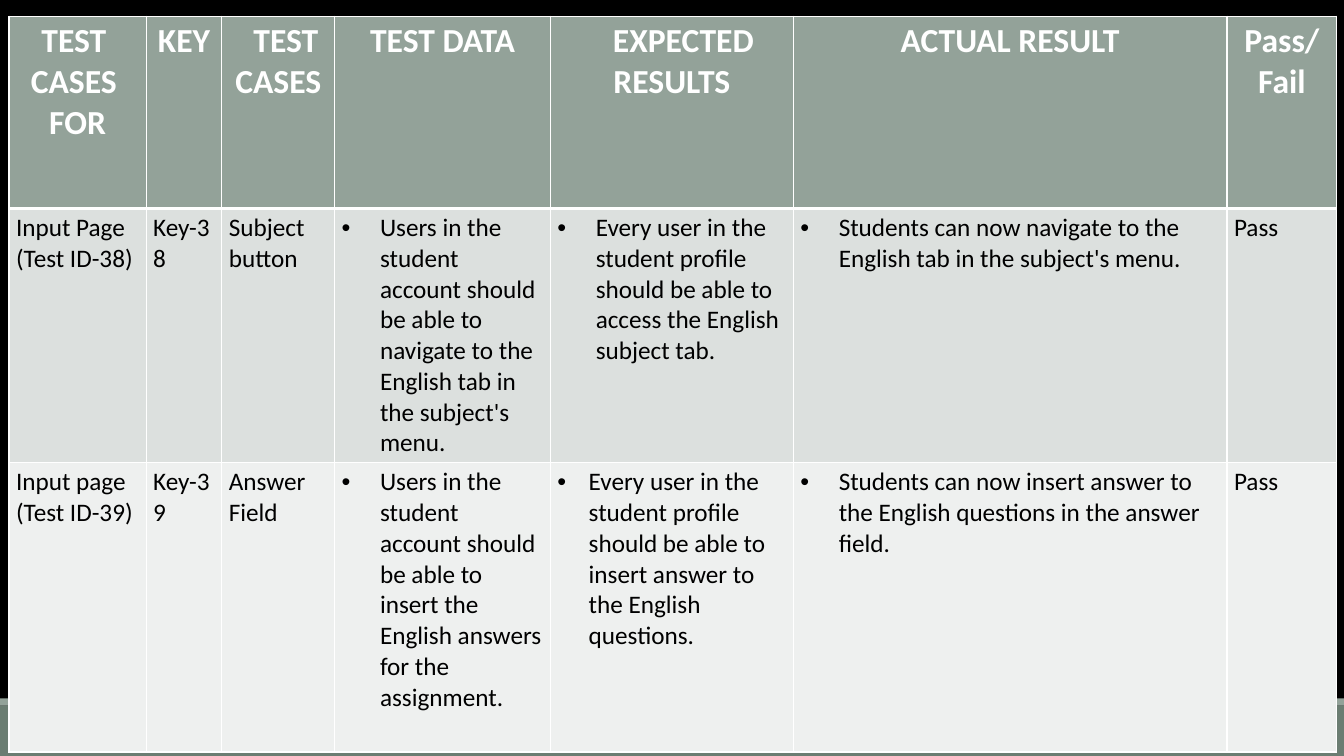
from dataclasses import dataclass

from lxml import etree
from pptx import Presentation
from pptx import util as u
from pptx.dml.color import RGBColor
from pptx.enum import shapes, text
from pptx.oxml.ns import qn


@dataclass(frozen=True)
class Theme:
    font: str = "Calibri"
    background: str = "000000"
    footer: str = "6B7D72"
    accent: str = "93A299"
    bands: tuple = ("DCE0DE", "EEF0EF")
    light: str = "FFFFFF"
    dark: str = "000000"
    heading: int = 24
    body: int = 18
    rule: int = 1
    heavy_rule: int = 3


@dataclass(frozen=True)
class Bullet:
    wording: str
    indent: float = 0.38


THEME = Theme()
WIDTH, HEIGHT = 13.33, 7.5
COLUMNS = (1.36, 0.75, 1.12, 2.14, 2.41, 4.3, 1.09)
ROWS = (1.91, 2.31, 2.87)
HEADINGS = ("TEST \nCASES \nFOR", "KEY", "  TEST CASES", "TEST DATA",
            "   EXPECTED RESULTS", "ACTUAL RESULT", "Pass/Fail")
TEST_CASES = (
    ("Input Page\n(Test ID-38)", "Key-38", "Subject button",
     Bullet("Users in the student account should be able to navigate to the "
            "English tab in the subject's menu."),
     Bullet("Every user in the student profile should be able to access the "
            "English subject tab."),
     Bullet("Students can now navigate to the English tab in the subject's menu."),
     "Pass"),
    ("Input page\n(Test ID-39)", "Key-39", "Answer Field",
     Bullet("Users in the student account should be able to insert the "
            "English answers for the assignment."),
     Bullet("Every user in the student profile should be able to insert "
            "answer to the English questions.", 0.31),
     Bullet("Students can now insert answer to the English questions in the "
            "answer field."),
     "Pass"),
)


def rgb(value):
    return RGBColor.from_string(value)


def add_bar(slide, box, colour):
    bar = slide.shapes.add_shape(shapes.MSO_SHAPE.RECTANGLE, *map(u.Inches, box))
    bar.shadow.inherit = False
    bar.fill.solid()
    bar.fill.fore_color.rgb = rgb(colour)
    bar.line.fill.background()


def add_footer(slide, box):
    left, top, width, height = box
    strip = 0.07
    add_bar(slide, (left, top + strip, width, height - strip), THEME.footer)
    add_bar(slide, (left, top, width, strip), THEME.accent)


def set_borders(cell, bottom):
    properties = cell._tc.get_or_add_tcPr()
    sides = (("lnL", THEME.rule), ("lnR", THEME.rule), ("lnT", THEME.rule), ("lnB", bottom))
    for position, (side, points) in enumerate(sides):
        border = etree.Element(qn(f"a:{side}"), w=str(u.Pt(points)))
        fill = etree.SubElement(border, qn("a:solidFill"))
        etree.SubElement(fill, qn("a:srgbClr"), val=THEME.light)
        properties.insert(position, border)


def set_bullet(paragraph, indent):
    properties = paragraph._p.get_or_add_pPr()
    properties.set("marL", str(u.Inches(indent)))
    properties.set("indent", str(-u.Inches(indent)))
    etree.SubElement(properties, qn("a:buFont"), typeface="Arial")
    etree.SubElement(properties, qn("a:buChar"), char="•")


def fill_cell(cell, entry, fill, heading):
    is_bullet = isinstance(entry, Bullet)
    cell.text_frame.text = entry.wording if is_bullet else entry
    cell.margin_left = cell.margin_right = u.Inches(0.07)
    cell.margin_top = cell.margin_bottom = u.Inches(0.04)
    cell.fill.solid()
    cell.fill.fore_color.rgb = rgb(fill)
    set_borders(cell, THEME.heavy_rule if heading else THEME.rule)
    for paragraph in cell.text_frame.paragraphs:
        paragraph.alignment = text.PP_ALIGN.CENTER if heading else text.PP_ALIGN.LEFT
        if is_bullet:
            set_bullet(paragraph, entry.indent)
        for run in paragraph.runs:
            run.font.name = THEME.font
            run.font.size = u.Pt(THEME.heading if heading else THEME.body)
            run.font.bold = heading
            run.font.color.rgb = rgb(THEME.light if heading else THEME.dark)


def add_test_cases(slide, box):
    entries = (HEADINGS, *TEST_CASES)
    grid = slide.shapes.add_table(len(ROWS), len(COLUMNS), *map(u.Inches, box)).table
    for column, width in zip(grid.columns, COLUMNS):
        column.width = u.Inches(width)
    for row, height in zip(grid.rows, ROWS):
        row.height = u.Inches(height)
    for r, (line, fill) in enumerate(zip(entries, (THEME.accent, *THEME.bands))):
        for c, entry in enumerate(line):
            fill_cell(grid.cell(r, c), entry, fill, r == 0)


def main():
    deck = Presentation()
    deck.slide_width, deck.slide_height = u.Inches(WIDTH), u.Inches(HEIGHT)
    slide = deck.slides.add_slide(deck.slide_layouts[6])
    slide.background.fill.solid()
    slide.background.fill.fore_color.rgb = rgb(THEME.background)
    add_footer(slide, (0, 6.93, WIDTH, HEIGHT - 6.93))
    add_test_cases(slide, (0.09, 0.16, sum(COLUMNS), sum(ROWS)))
    deck.save("out.pptx")


if __name__ == "__main__":
    main()
